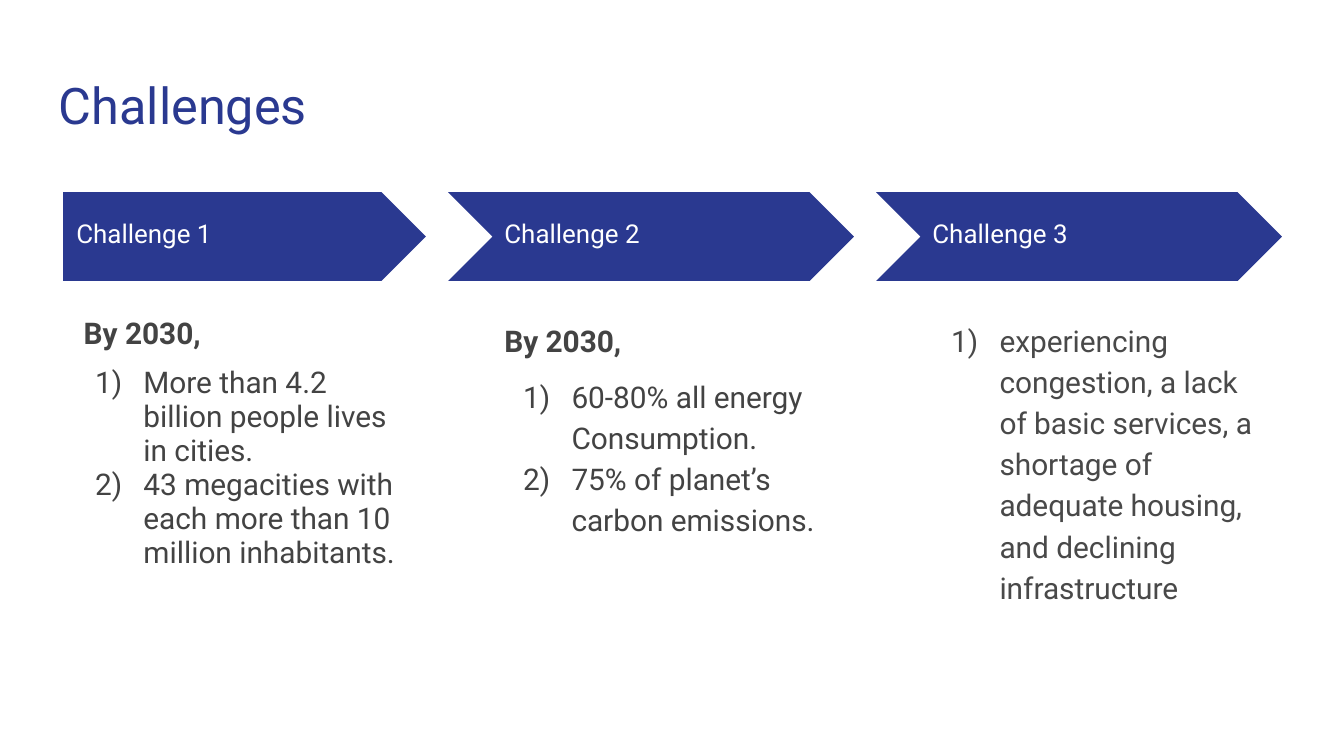
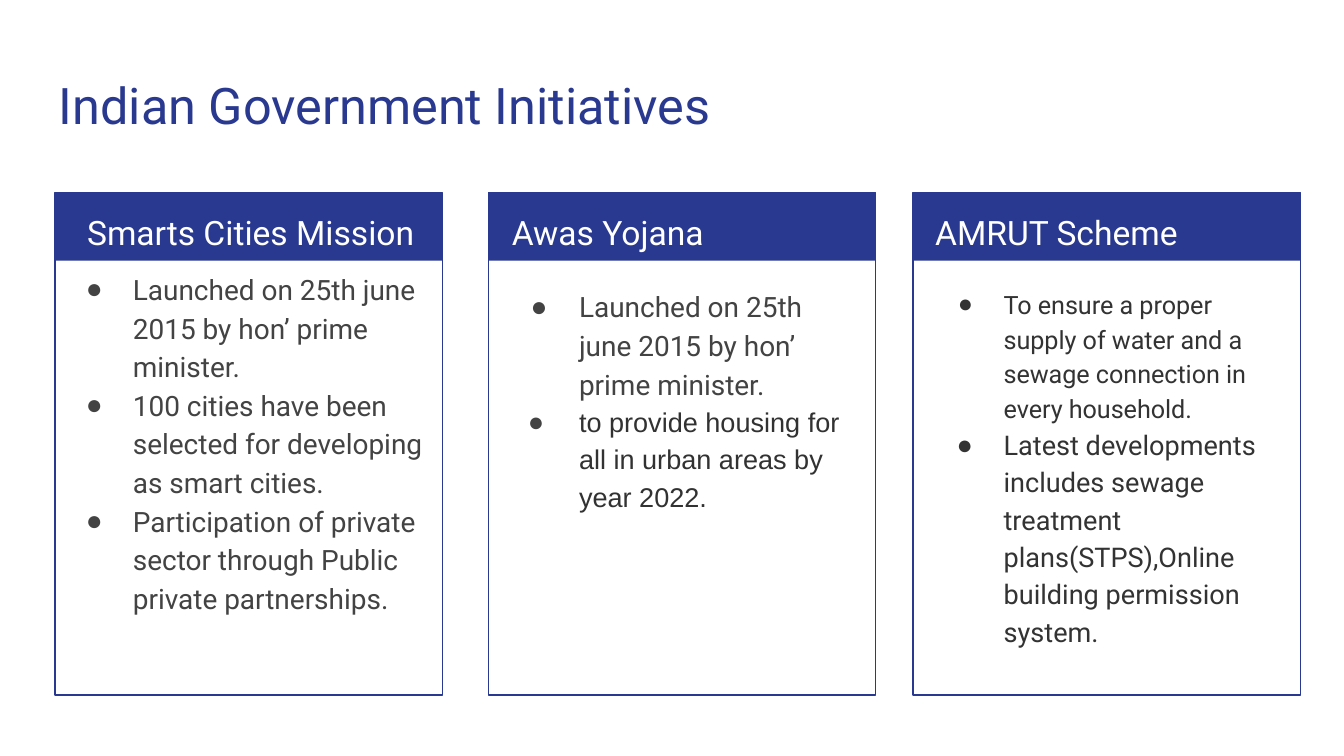
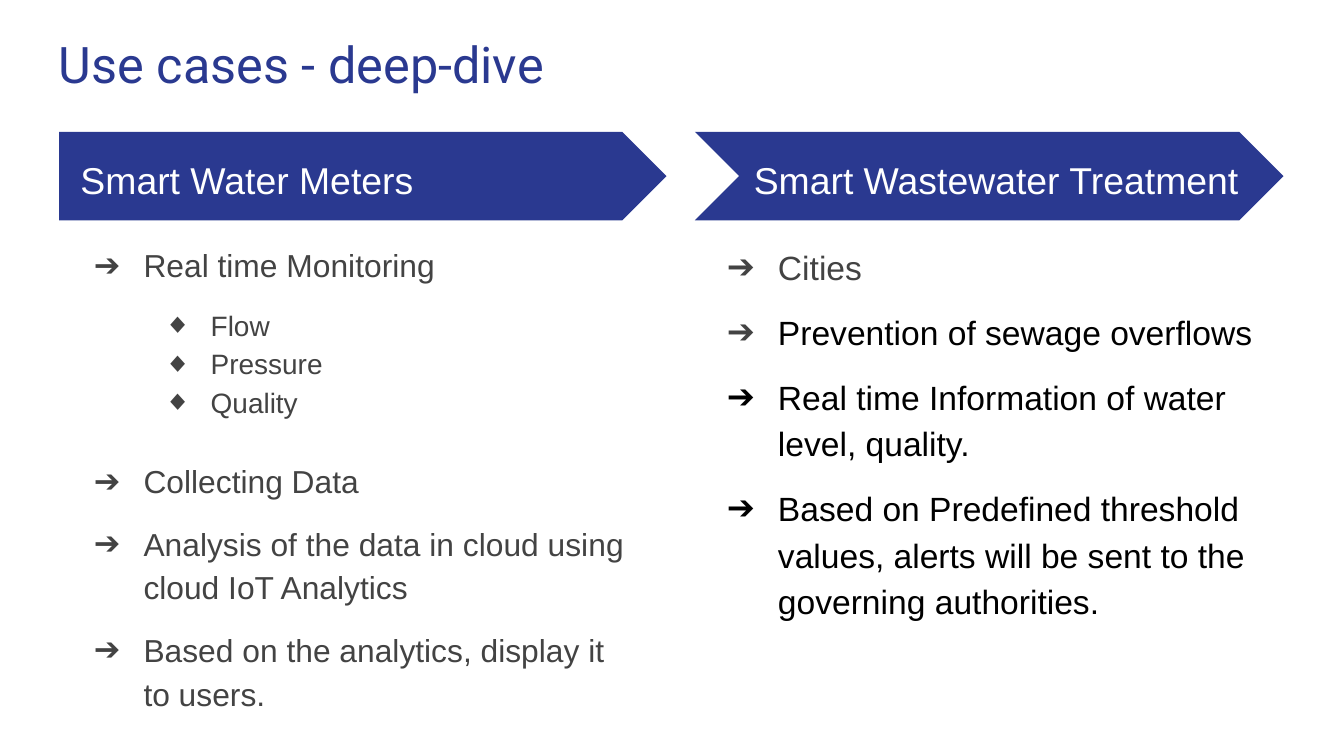
"""Build three slides on smart city challenges, initiatives and use cases."""
from dataclasses import dataclass, replace

from lxml import etree
from pptx import Presentation
from pptx import util as u
from pptx.dml import color
from pptx.enum import shapes, text
from pptx.oxml import ns

NAVY, WHITE, BLACK = "2A3990", "FFFFFF", "000000"
GREY, SLATE, CHARCOAL, INK = "434343", "494949", "323232", "333333"
ROBOTO, ARIAL = "Roboto", "Arial"
INSET = 7.2
ARROW_HEIGHT = 47.5


@dataclass
class Line:
    """One paragraph with its look; lengths are in points."""
    words: str
    size: float
    colour: str = GREY
    font: str = ROBOTO
    bold: bool = False
    mark: str = ""
    mark_colour: str = ""
    left: float = 0
    hanging: float = 0
    level: int = 0
    before: float = 0
    after: float = 0
    spacing: float = 1.15


def rgb(code):
    """Turn a hex string into a colour."""
    return color.RGBColor.from_string(code)


def add_mark(para, line):
    """Give a paragraph its indents and its bullet or number."""
    props = para._p.get_or_add_pPr()
    props.set("marL", str(u.Pt(line.left)))
    props.set("indent", str(-u.Pt(line.hanging)))
    if not line.mark:
        return
    mark_colour = etree.SubElement(props, ns.qn("a:buClr"))
    etree.SubElement(mark_colour, ns.qn("a:srgbClr")).set("val", line.mark_colour or line.colour)
    if line.mark == "1)":
        etree.SubElement(props, ns.qn("a:buFont")).set("typeface", line.font)
        etree.SubElement(props, ns.qn("a:buAutoNum")).set("type", "arabicParenR")
    else:
        etree.SubElement(props, ns.qn("a:buFont")).set("typeface", ARIAL)
        etree.SubElement(props, ns.qn("a:buChar")).set("char", line.mark)


def add_text(slide, left, top, width, height, lines, middle=False):
    """Add a wrapping text box that holds the given lines."""
    box = slide.shapes.add_textbox(u.Pt(left), u.Pt(top), u.Pt(width), u.Pt(height))
    frame = box.text_frame
    frame.word_wrap = True
    frame.vertical_anchor = text.MSO_ANCHOR.MIDDLE if middle else text.MSO_ANCHOR.TOP
    frame.margin_left = frame.margin_right = u.Pt(INSET)
    frame.margin_top = frame.margin_bottom = u.Pt(INSET)
    frame.text = "\n".join(line.words for line in lines)
    for para, line in zip(frame.paragraphs, lines):
        add_mark(para, line)
        para.level = line.level
        para.line_spacing = line.spacing
        para.space_before, para.space_after = u.Pt(line.before), u.Pt(line.after)
        font = para.runs[0].font
        font.name, font.size, font.bold = line.font, u.Pt(line.size), line.bold
        font.color.rgb = rgb(line.colour)


def add_block(holder, kind, left, top, width, height, fill=None, outline=None):
    """Add a preset shape with an optional fill and outline."""
    block = holder.add_shape(kind, u.Pt(left), u.Pt(top), u.Pt(width), u.Pt(height))
    block.shadow.inherit = False
    if fill:
        block.fill.solid()
        block.fill.fore_color.rgb = rgb(fill)
    else:
        block.fill.background()
    if outline:
        block.line.color.rgb = rgb(outline)
        block.line.width = u.Pt(0.75)
    else:
        block.line.fill.background()


def add_arrow(slide, first, left, top, width):
    """Add a navy arrow; the first of a row has a flat tail."""
    kind = shapes.MSO_SHAPE.PENTAGON if first else shapes.MSO_SHAPE.CHEVRON
    add_block(slide.shapes, kind, left, top, width, ARROW_HEIGHT, NAVY)


def add_card(slide, left, top):
    """Add an outlined card with a filled header band."""
    group = slide.shapes.add_group_shape()
    rectangle = shapes.MSO_SHAPE.RECTANGLE
    add_block(group.shapes, rectangle, left, top, 207.4, 36.7, NAVY)
    add_block(group.shapes, rectangle, left, top, 207.4, 269.3, outline=NAVY)


def add_slide(deck, title, top=32.4, height=47.5):
    """Add a blank white slide with its title."""
    slide = deck.slides.add_slide(deck.slide_layouts[6])
    slide.background.fill.solid()
    slide.background.fill.fore_color.rgb = rgb(WHITE)
    add_text(slide, 24.5, top, 671, height, [Line(title, 27, NAVY, spacing=1)])
    return slide


def build_challenges(deck):
    """Show three challenges under a row of arrows."""
    slide = add_slide(deck, "Challenges")
    heading = Line("By 2030,", 16, bold=True)
    point = Line("", 16, mark="1)", left=36, hanging=25.9)
    columns = [
        [replace(heading, left=4, spacing=0.95),
         replace(point, words="More than 4.2 billion people lives in cities.", before=8, spacing=0.95),
         replace(point, words="43 megacities with each more than 10 million inhabitants.", spacing=0.95)],
        [heading,
         replace(point, words="60-80% all energy Consumption.", before=8),
         replace(point, words="75% of planet’s carbon emissions.")],
        [replace(point, colour=SLATE,
                 words="experiencing congestion, a lack of basic services, a shortage of "
                       "adequate housing, and declining infrastructure")],
    ]
    width, notch = 194.4, 23
    for index, lines in enumerate(columns):
        left = 33.8 + 229.3 * index
        tail = notch if index else 0
        add_arrow(slide, index == 0, left - tail, 103, width + tail)
        label = Line(f"Challenge {index + 1}", 13.9, WHITE, spacing=0.8)
        add_text(slide, left, 114.5, 178, 24.5, [label], middle=True)
        add_text(slide, left, 162.7, width, 208.8, lines)


def build_initiatives(deck):
    """Show three government schemes as cards."""
    slide = add_slide(deck, "Indian Government Initiatives")
    point = Line("", 15, mark="●", left=36, hanging=25.2)
    launch = replace(point, words="Launched on 25th june 2015 by hon’ prime minister.")
    cards = [
        (29.5, "Smarts Cities Mission", 39.6, (28.1, 136.1, 207.4, 268), [
            launch,
            replace(point, words="100 cities have been selected for developing as smart cities."),
            replace(point, words="Participation of private sector through Public private partnerships."),
        ]),
        (261.7, "Awas Yojana", 267.1, (267.1, 145.4, 195.1, 220.3), [
            replace(launch, hanging=25.9),
            replace(point, words="to provide housing for all in urban areas by year 2022.",
                    size=14.5, font=ARIAL, colour=CHARCOAL, mark_colour=GREY, hanging=27.4),
        ]),
        (489.2, "AMRUT Scheme", 493.9, (494.6, 145.4, 195.1, 220.3), [
            replace(point, size=13.5, colour=INK, hanging=24.5,
                    words="To ensure a proper supply of water and a sewage connection in every household."),
            replace(point, size=14.5, colour=INK,
                    words="Latest developments includes sewage treatment plans(STPS),Online "
                          "building permission system."),
        ]),
    ]
    for left, name, name_left, body, lines in cards:
        add_card(slide, left, 103)
        add_text(slide, name_left, 103, 196.6, 36, [Line(name, 18, WHITE)])
        add_text(slide, *body, lines)


def build_use_cases(deck):
    """Show two use cases side by side under arrows."""
    slide = add_slide(deck, "Use cases - deep-dive", 10.8, 38.9)
    step = Line("", 17, font=ARIAL, mark="➔", left=36, hanging=26.6, before=10)
    detail = replace(step, size=15, mark="◆", left=72, hanging=25.2, level=1, before=0)
    result = replace(step, size=18, colour=BLACK, hanging=27.4)
    meters = [
        replace(step, words="Real time Monitoring", before=0),
        replace(detail, words="Flow", before=10),
        replace(detail, words="Pressure"),
        replace(detail, words="Quality"),
        replace(step, words="Collecting Data", before=20),
        replace(step, words="Analysis of the data in cloud using cloud IoT Analytics"),
        replace(step, words="Based on the analytics, display it to users.", after=10),
    ]
    treatment = [
        replace(result, words="Cities", colour=GREY, before=0),
        replace(result, words="Prevention of sewage overflows", mark_colour=GREY),
        replace(result, words="Real time Information of water level, quality."),
        replace(result, words="Based on Predefined threshold values, alerts will be sent to "
                              "the governing authorities.", after=10),
    ]
    cases = [
        ("Smart Water Meters", (31.7, 325.4), (36, 286), 33.8, meters),
        ("Smart Wastewater Treatment", (372.2, 315.4), (396.7, 279.4), 373.7, treatment),
    ]
    for index, (name, arrow, label, body_left, lines) in enumerate(cases):
        add_arrow(slide, index == 0, arrow[0], 70.6, arrow[1])
        add_text(slide, label[0], 82, label[1], 24.5, [Line(name, 20, WHITE, ARIAL)], middle=True)
        add_text(slide, body_left, 121.7, 315.4, 257.8, lines)


def main():
    """Build and save the deck."""
    deck = Presentation()
    deck.slide_width, deck.slide_height = u.Pt(720), u.Pt(405)
    build_challenges(deck)
    build_initiatives(deck)
    build_use_cases(deck)
    deck.save("out.pptx")


if __name__ == "__main__":
    main()
